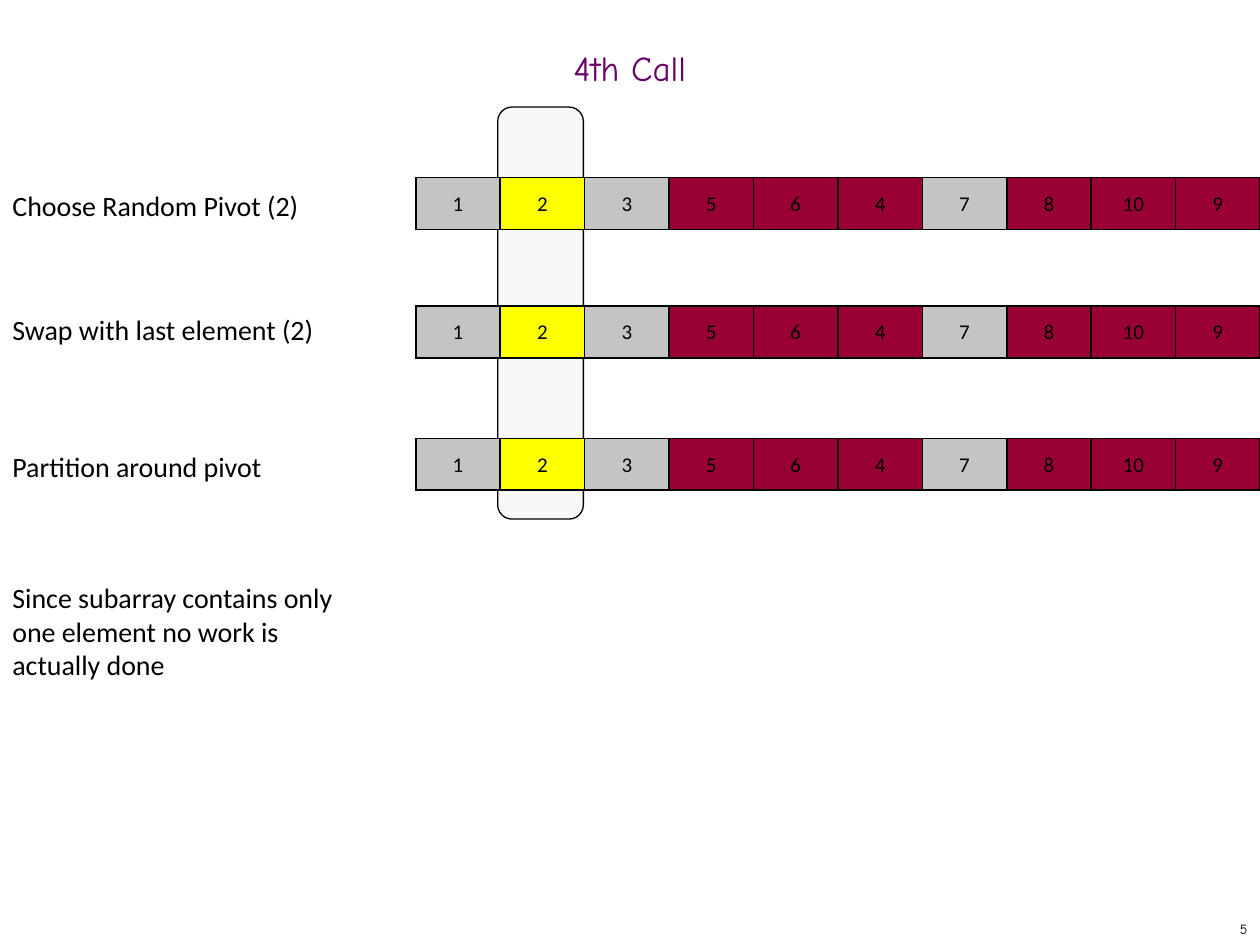
from lxml import etree
from pptx import Presentation
from pptx.dml.color import RGBColor
from pptx.enum.shapes import MSO_SHAPE
from pptx.enum.text import MSO_ANCHOR, MSO_AUTO_SIZE, PP_ALIGN
from pptx.oxml.ns import qn
from pptx.util import Inches, Pt

ROUND = MSO_SHAPE.ROUNDED_RECTANGLE
TOP, MIDDLE = MSO_ANCHOR.TOP, MSO_ANCHOR.MIDDLE
LEFT, CENTER, RIGHT = PP_ALIGN.LEFT, PP_ALIGN.CENTER, PP_ALIGN.RIGHT
GROW = MSO_AUTO_SIZE.SHAPE_TO_FIT_TEXT

BODY, HAND = "Calibri", "Comic Neue"
BLACK, GRAY, PALE = "000000", "C4C4C4", "C0C0C0"
YELLOW, RED, PURPLE = "FFFF00", "990033", "660066"

TITLE, PAGE = "4th Call", "5"
# Label, top of the label, top of the array
STEPS = [
    ("Choose Random Pivot (2)", 1.45, 1.41),
    ("Swap with last element (2)", 2.43, 2.43),
    ("Partition around pivot", 3.52, 3.48),
]
NOTE = "Since subarray contains only one element no work is actually done"
ARRAY = [1, 2, 3, 5, 6, 4, 7, 8, 10, 9]
FILLS = {1: GRAY, 2: YELLOW, 3: GRAY, 7: GRAY}  # all others are red

ARRAY_X, CELL_W, CELL_H = 3.3, 0.67, 0.41
ACTIVE = (3.95, 0.85, 0.68, 3.27)


def color(code):
    return RGBColor.from_string(code)


def style(para, size, face, code, align):
    para.alignment = align
    font = para.runs[0].font
    font.size, font.name = Pt(size), face
    font.color.rgb = color(code)


def add_text(slide, text, box, size=16, face=BODY, code=BLACK,
             align=LEFT, anchor=TOP, wrap=True):
    shape = slide.shapes.add_textbox(*map(Inches, box))
    frame = shape.text_frame
    frame.word_wrap = wrap
    frame.vertical_anchor = anchor
    frame.text = text
    style(frame.paragraphs[0], size, face, code, align)
    return frame


def add_label(slide, text, box):
    add_text(slide, text, box).auto_size = GROW


def add_band(slide):
    """Mark the active subarray with a mostly clear column."""
    band = slide.shapes.add_shape(ROUND, *map(Inches, ACTIVE))
    band.shadow.inherit = False
    band.fill.solid()
    band.fill.fore_color.rgb = color(PALE)
    tint = band.fill._xPr.find(qn("a:solidFill"))[0]
    etree.SubElement(tint, qn("a:alpha"), val="10000")
    band.line.color.rgb = color(BLACK)
    band.line.width = Pt(0.75)


def add_borders(cell):
    """Draw 1 pt lines on all sides; they must come before the fill."""
    props = cell._tc.get_or_add_tcPr()
    for spot, side in enumerate(("lnL", "lnR", "lnT", "lnB")):
        line = etree.Element(qn("a:" + side), w=str(Pt(1)))
        fill = etree.SubElement(line, qn("a:solidFill"))
        etree.SubElement(fill, qn("a:srgbClr"), val=BLACK)
        props.insert(spot, line)


def add_item(slide, value, x, y):
    """Add one array element as a one-cell table."""
    box = map(Inches, (x, y, CELL_W, CELL_H))
    table = slide.shapes.add_table(1, 1, *box).table
    table.first_row = table.horz_banding = False
    cell = table.cell(0, 0)
    cell.margin_left = cell.margin_right = cell.margin_top = Inches(0.01)
    cell.margin_bottom = 0
    cell.vertical_anchor = MIDDLE
    cell.fill.solid()
    cell.fill.fore_color.rgb = color(FILLS.get(value, RED))
    add_borders(cell)
    cell.text = str(value)
    style(cell.text_frame.paragraphs[0], 12, BODY, BLACK, CENTER)


def main():
    deck = Presentation()
    deck.slide_width, deck.slide_height = Inches(10), Inches(7.5)
    slide = deck.slides.add_slide(deck.slide_layouts[6])

    add_text(slide, PAGE, (7.92, 7.25, 2.08, 0.25), 8, HAND,
             align=RIGHT, anchor=MIDDLE, wrap=False)
    title = add_text(slide, TITLE, (0, 0.33, 10, 0.5), 20, HAND, PURPLE,
                     CENTER, MIDDLE)
    title.paragraphs[0].line_spacing = 0.7

    for text, y, _ in STEPS:
        add_label(slide, text, (0, y, 2.62, 0.37))
    add_band(slide)
    for _, _, y in STEPS:
        for col, value in enumerate(ARRAY):
            add_item(slide, value, ARRAY_X + col * CELL_W, y)
    add_label(slide, NOTE, (0, 4.56, 2.96, 0.91))

    deck.save("out.pptx")


if __name__ == "__main__":
    main()
